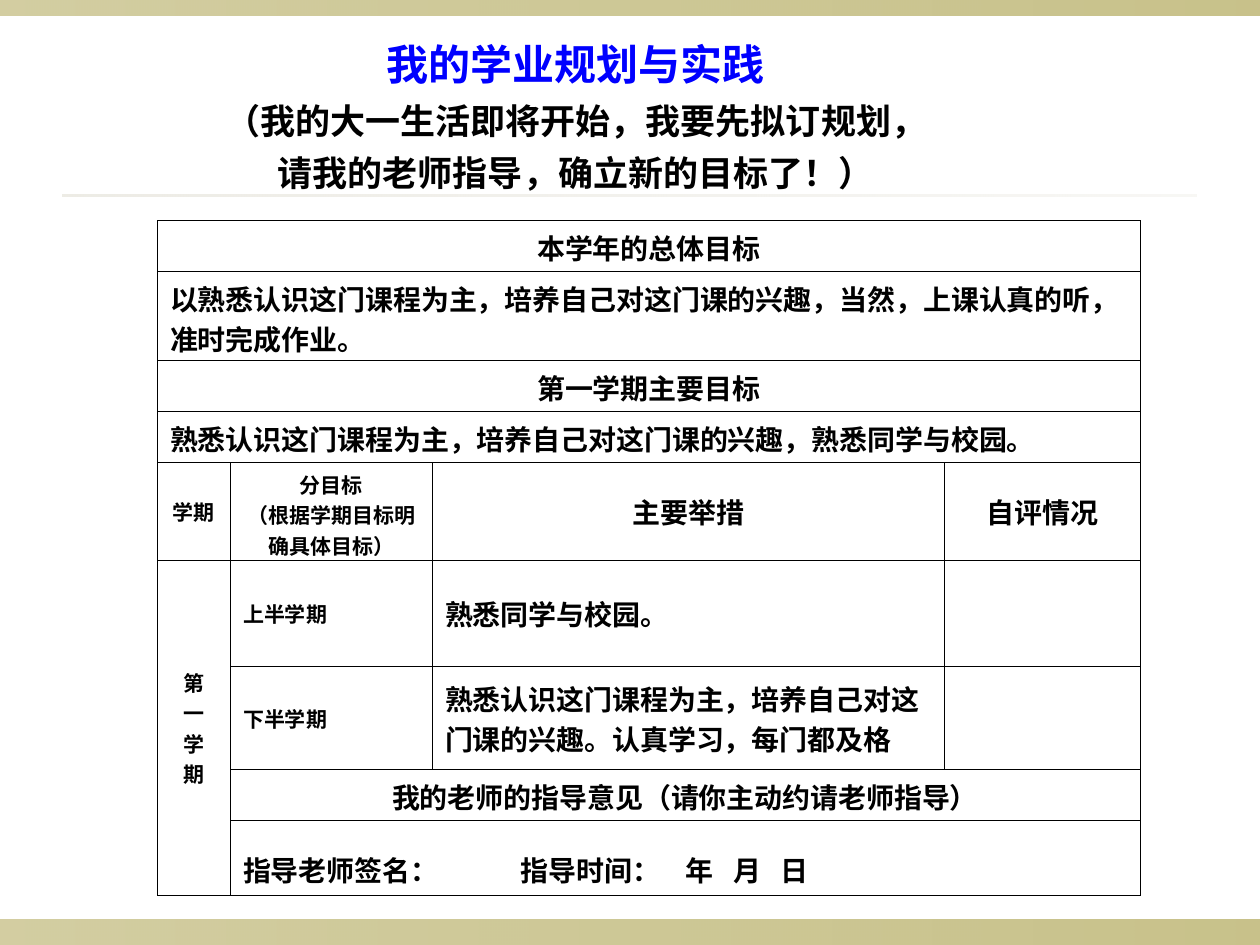
from dataclasses import dataclass

from lxml.etree import SubElement
from pptx import Presentation
from pptx.dml.color import RGBColor
from pptx.enum.shapes import MSO_SHAPE
from pptx.enum.text import MSO_ANCHOR as Anchor, MSO_AUTO_SIZE as AutoSize, PP_ALIGN as Align
from pptx.oxml.ns import qn
from pptx.util import Pt


@dataclass(frozen=True)
class Theme:
    font: str = "Noto Sans CJK SC"
    title: str = "0000FF"
    ink: str = "000000"
    band: str = "918415"
    rule: str = "DCD9CC"
    title_size: float = 24
    subtitle_size: float = 20
    body: float = 16
    small: float = 12
    border: float = 0.45


@dataclass(frozen=True)
class Band:
    left: float
    top: float
    width: float
    height: float
    color: str
    alphas: tuple[int, int]


@dataclass(frozen=True)
class Cell:
    row: int
    col: int
    lines: tuple[str, ...]
    size: float = Theme.body
    align: Align = Align.LEFT
    anchor: Anchor = Anchor.MIDDLE
    rows: int = 1
    cols: int = 1
    tabs: tuple[float, ...] = ()


T = Theme()
C = Align.CENTER
BANDS = [
    Band(0, 525.6, 720, 14.4, T.band, (40, 50)),
    Band(0, 0, 720, 8.64, T.band, (40, 50)),
    Band(36, 110.88, 648, 1.44, T.rule, (50, 20)),
]
TITLE_LINES = [
    ("我的学业规划与实践", T.title_size, T.title),
    ("（我的大一生活即将开始，我要先拟订规划，", T.subtitle_size, T.ink),
    ("请我的老师指导，确立新的目标了！）", T.subtitle_size, T.ink),
]
COL_WIDTHS = [41.7, 115.4, 292.5, 112]
ROW_HEIGHTS = [29.2, 50.8, 29.2, 29.2, 56, 60.6, 58.8, 29.2, 42.8]
CELLS = [
    Cell(0, 0, ("本学年的总体目标",), align=C, cols=4),
    Cell(1, 0, ("以熟悉认识这门课程为主，培养自己对这门课的兴趣，当然，上课认真的听，准时完成作业。",),
         anchor=Anchor.TOP, cols=4),
    Cell(2, 0, ("第一学期主要目标",), align=C, cols=4),
    Cell(3, 0, ("熟悉认识这门课程为主，培养自己对这门课的兴趣，熟悉同学与校园。",),
         anchor=Anchor.TOP, cols=4),
    Cell(4, 0, ("学期",), T.small, C),
    Cell(4, 1, ("分目标", "（根据学期目标明确具体目标）"), T.small, C),
    Cell(4, 2, ("主要举措",), align=C),
    Cell(4, 3, ("自评情况",), align=C),
    Cell(5, 0, tuple("第一学期"), T.small, C, rows=4),
    Cell(5, 1, ("上半学期",), T.small),
    Cell(5, 2, ("熟悉同学与校园。",)),
    Cell(6, 1, ("下半学期",), T.small),
    Cell(6, 2, ("熟悉认识这门课程为主，培养自己对这门课的兴趣。认真学习，每门都及格",)),
    Cell(7, 1, ("我的老师的指导意见（请你主动约请老师指导）",), align=C, cols=3),
    Cell(8, 1, ("指导老师签名：\t指导时间：\t年\t月\t日",), anchor=Anchor.BOTTOM, cols=3,
         tabs=(158.5, 253, 280, 307)),
]


def write(p, text: str, *, size: float, color: str = T.ink, align: Align = Align.LEFT,
          spacing: float = 1.0, tabs: tuple[float, ...] = ()) -> None:
    p.alignment, p.line_spacing = align, spacing
    p.space_before = Pt(0)
    if tabs:
        tab_list = SubElement(p._p.get_or_add_pPr(), qn("a:tabLst"))
        for pos in tabs:
            SubElement(tab_list, qn("a:tab"), pos=str(Pt(pos)), algn="l")
    r = p.add_run()
    r.text = text
    f = r.font
    f.name, f.size, f.bold = T.font, Pt(size), True
    f.color.rgb = RGBColor.from_string(color)
    SubElement(r._r.get_or_add_rPr(), qn("a:ea"), typeface=T.font)


def paragraph(tf, index: int):
    return tf.add_paragraph() if index else tf.paragraphs[0]


def draw_band(s, band: Band) -> None:
    sp = s.shapes.add_shape(MSO_SHAPE.RECTANGLE, Pt(band.left), Pt(band.top),
                            Pt(band.width), Pt(band.height))
    sp.shadow.inherit = False
    sp.line.fill.background()
    sp.fill.gradient()
    sp.fill.gradient_angle = 0
    for stop, alpha in zip(sp.fill.gradient_stops, band.alphas):
        stop.color.rgb = RGBColor.from_string(band.color)
    for clr, alpha in zip(sp._element.spPr.iter(qn("a:srgbClr")), band.alphas):
        SubElement(clr, qn("a:alpha"), val=str(alpha * 1000))


def draw_title(s) -> None:
    sp = s.shapes.title
    sp.left, sp.top, sp.width, sp.height = Pt(54), Pt(10.8), Pt(550), Pt(103.7)
    tf = sp.text_frame
    tf.word_wrap, tf.auto_size, tf.vertical_anchor = True, AutoSize.SHAPE_TO_FIT_TEXT, Anchor.MIDDLE
    for i, (text, size, color) in enumerate(TITLE_LINES):
        write(paragraph(tf, i), text, size=size, color=color, align=C, spacing=1.25)


def draw_borders(cell) -> None:
    tc_pr = cell._tc.get_or_add_tcPr()
    for i, side in enumerate(("lnL", "lnR", "lnT", "lnB")):
        ln = SubElement(tc_pr, qn(f"a:{side}"), w=str(Pt(T.border)))
        fill = SubElement(ln, qn("a:solidFill"))
        SubElement(fill, qn("a:srgbClr"), val=T.ink)
        tc_pr.insert(i, ln)


def draw_table(s) -> None:
    table = s.shapes.add_table(len(ROW_HEIGHTS), len(COL_WIDTHS), Pt(90), Pt(126),
                               Pt(sum(COL_WIDTHS)), Pt(sum(ROW_HEIGHTS))).table
    table.first_row = table.horz_banding = False
    for col, width in zip(table.columns, COL_WIDTHS):
        col.width = Pt(width)
    for row, height in zip(table.rows, ROW_HEIGHTS):
        row.height = Pt(height)
    for cell in table.iter_cells():
        cell.fill.background()
        draw_borders(cell)
    for item in CELLS:
        cell = table.cell(item.row, item.col)
        if item.rows * item.cols > 1:
            cell.merge(table.cell(item.row + item.rows - 1, item.col + item.cols - 1))
        cell.vertical_anchor = item.anchor
        for i, line in enumerate(item.lines):
            write(paragraph(cell.text_frame, i), line, size=item.size, align=item.align,
                  tabs=item.tabs)


def main() -> None:
    prs = Presentation()
    prs.slide_width, prs.slide_height = Pt(720), Pt(540)
    s = prs.slides.add_slide(prs.slide_layouts[5])
    for band in BANDS:
        draw_band(s, band)
    draw_title(s)
    draw_table(s)
    prs.save("out.pptx")


if __name__ == "__main__":
    main()
